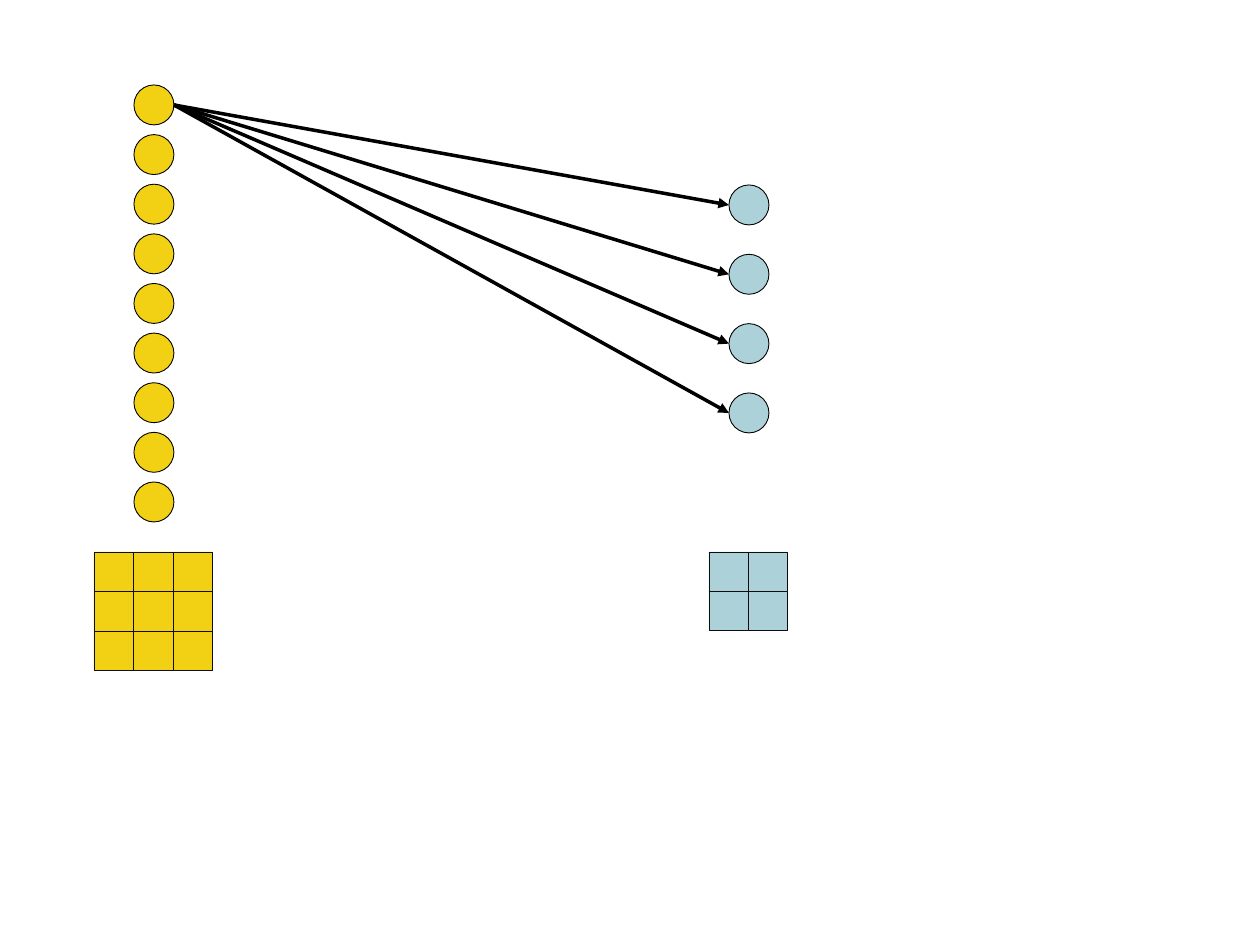
from lxml import etree
from pptx import Presentation
from pptx.dml.color import RGBColor
from pptx.enum.shapes import MSO_CONNECTOR, MSO_SHAPE
from pptx.oxml.ns import qn
from pptx.util import Inches, Pt

ELLIPSE = MSO_SHAPE.OVAL
SQUARE = MSO_SHAPE.RECTANGLE
STRAIGHT = MSO_CONNECTOR.STRAIGHT
YELLOW = RGBColor(0xF2, 0xD1, 0x15)
BLUE = RGBColor(0xAC, 0xD1, 0xD8)
BLACK = RGBColor(0, 0, 0)
CELL_EDGE = RGBColor(0x0D, 0x0D, 0x0D)
EMU_PER_PIXEL = Inches(1) / 126
NODE_SIZE = 40


def emu(pixels):
    return round(pixels * EMU_PER_PIXEL)


class NetworkSlide:
    """Draws layers of nodes, cell grids and arrows on one slide."""

    def __init__(self, slide):
        self.slide = slide
        self.outline = Pt(0.5)
        self.arrow_width = Pt(2)

    def block(self, kind, left, top, size, fill, edge):
        shape = self.slide.shapes.add_shape(
            kind, emu(left), emu(top), emu(size), emu(size))
        shape.shadow.inherit = False
        shape.fill.solid()
        shape.fill.fore_color.rgb = fill
        shape.line.color.rgb = edge
        shape.line.width = self.outline

    def layer(self, left, first_top, last_top, count, fill):
        step = (last_top - first_top) / (count - 1)
        tops = [first_top + i * step for i in range(count)]
        for top in tops:
            self.block(ELLIPSE, left, top, NODE_SIZE, fill, BLACK)
        return [top + NODE_SIZE / 2 for top in tops]

    def grid(self, left, top, span, count, fill):
        cell = span / count
        for row in range(count):
            for column in range(count):
                self.block(SQUARE, left + column * cell, top + row * cell,
                           cell, fill, CELL_EDGE)

    def arrow(self, x1, y1, x2, y2):
        connector = self.slide.shapes.add_connector(
            STRAIGHT, emu(x1), emu(y1), emu(x2), emu(y2))
        connector.line.color.rgb = BLACK
        connector.line.width = self.arrow_width
        line = connector.line._get_or_add_ln()
        etree.SubElement(line, qn("a:tailEnd"), type="triangle")
        etree.SubElement(connector._element.spPr, qn("a:effectLst"))


presentation = Presentation()
presentation.slide_width = Inches(10)
presentation.slide_height = Inches(7.5)
blank = presentation.slide_layouts[6]
network = NetworkSlide(presentation.slides.add_slide(blank))

input_left, output_left, grid_top = 134, 729, 552
input_centers = network.layer(input_left, 85, 482, 9, YELLOW)
network.grid(94, grid_top, 119, 3, YELLOW)
output_centers = network.layer(output_left, 185, 393, 4, BLUE)
network.grid(709, grid_top, 79, 2, BLUE)

for output_center in output_centers:
    network.arrow(input_left + NODE_SIZE, input_centers[0],
                  output_left, output_center)

presentation.save("out.pptx")
